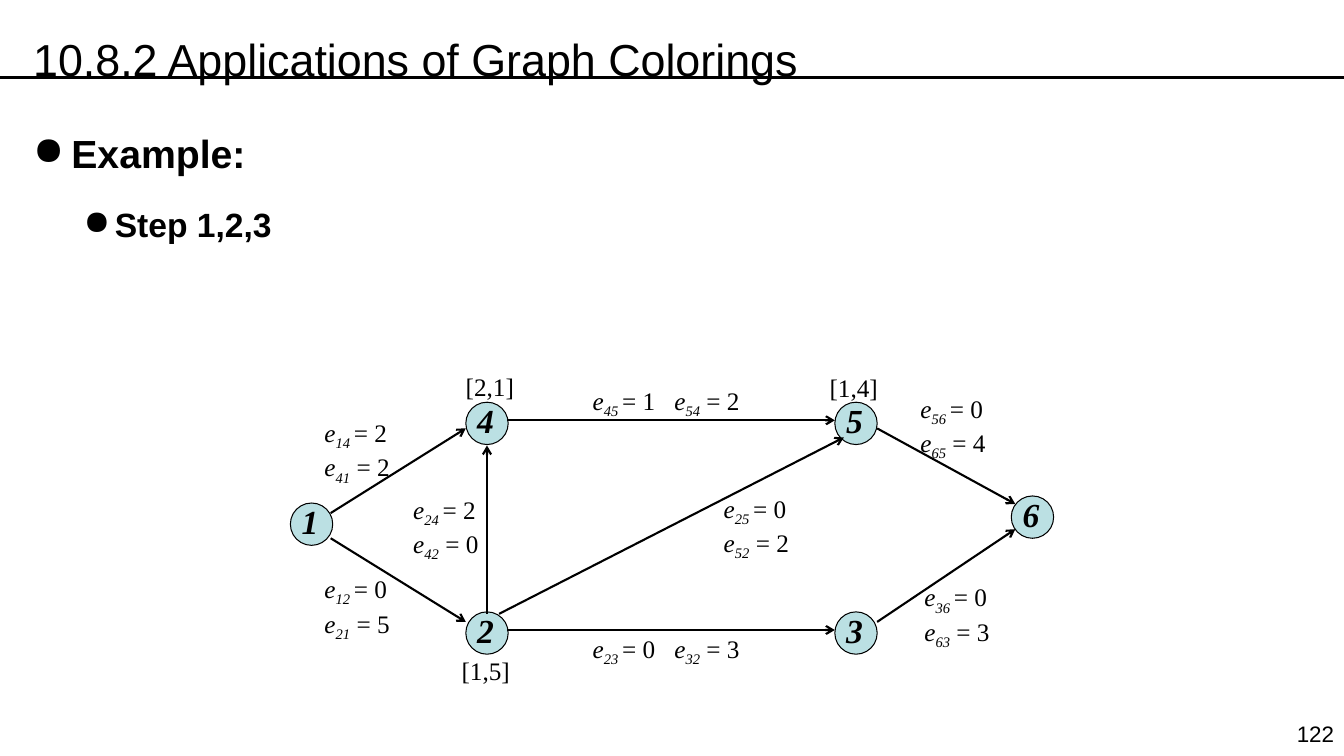
from lxml import etree
from pptx import Presentation
from pptx.dml.color import RGBColor
from pptx.enum.shapes import MSO_CONNECTOR, MSO_SHAPE
from pptx.enum.text import MSO_ANCHOR, PP_ALIGN
from pptx.oxml.ns import qn
from pptx.util import Inches, Pt

STRAIGHT = MSO_CONNECTOR.STRAIGHT
OVAL = MSO_SHAPE.OVAL
MIDDLE = MSO_ANCHOR.MIDDLE
LEFT, CENTER, RIGHT = PP_ALIGN.LEFT, PP_ALIGN.CENTER, PP_ALIGN.RIGHT

COLORS = {"ink": "000000", "node": "BBE0E3"}
SANS, SERIF = "Arial", "Times New Roman"
NODE_SIZE = 0.42
SECOND_WEIGHT_TAB = 0.81

# node number: left, top
NODES = {
    4: (4.62, 3.99),
    1: (2.88, 4.99),
    2: (4.62, 6.07),
    3: (8.28, 6.07),
    5: (8.28, 3.99),
    6: (10.03, 4.92),
}
# tail node, head node, line start, line end, label place, forward and backward weight
STACKED_EDGES = [
    (1, 4, (3.28, 5.09), (4.62, 4.25), (3.12, 4.09), 2, 2),
    (1, 2, (3.28, 5.34), (4.62, 6.17), (3.12, 5.64), 0, 5),
    (5, 6, (8.7, 4.25), (10.07, 5), (9.03, 3.85), 0, 4),
    (3, 6, (8.7, 6.17), (10.07, 5.25), (9.07, 5.72), 0, 3),
    (2, 5, (4.95, 6.09), (8.37, 4.34), (7.08, 4.84), 0, 2),
    (2, 4, (4.83, 6.09), (4.83, 4.42), (4, 4.85), 2, 0),
]
LEVEL_EDGES = [
    (4, 5, (5.03, 4.17), (8.28, 4.17), (5.78, 3.77), 1, 2),
    (2, 3, (5.03, 6.25), (8.28, 6.25), (5.78, 6.23), 0, 3),
]
COLOR_PAIRS = [("[2,1]", 4.52, 3.63), ("[1,5]", 4.48, 6.45), ("[1,4]", 8.13, 3.64)]


class GraphSlide:
    def __init__(self, slide):
        self.slide = slide

    def color(self, name):
        return RGBColor.from_string(COLORS[name])

    def style(self, paragraph, size, font=SANS, bold=None, italic=None, align=LEFT):
        paragraph.alignment = align
        paragraph.font.size = Pt(size)
        paragraph.font.name = font
        paragraph.font.bold = bold
        paragraph.font.italic = italic
        paragraph.font.color.rgb = self.color("ink")

    def frame(self, left, top, width, height, wrap=True):
        """Add an empty text box and return its text frame."""
        box = self.slide.shapes.add_textbox(
            Inches(left), Inches(top), Inches(width), Inches(height))
        box.text_frame.word_wrap = wrap
        return box.text_frame

    def text(self, words, place, size, font=SANS, align=LEFT, spacing=None, wrap=True):
        paragraph = self.frame(*place, wrap).paragraphs[0]
        paragraph.text = words
        paragraph.line_spacing = spacing
        self.style(paragraph, size, font, align=align)

    def bullets(self, items, place):
        """Items are (text, level, size, left margin, hanging indent)."""
        frame = self.frame(*place)
        for index, (words, level, size, margin, hanging) in enumerate(items):
            paragraph = frame.add_paragraph() if index else frame.paragraphs[0]
            paragraph.text = words
            paragraph.level = level
            paragraph.line_spacing = 1.5
            if index:
                paragraph.space_before = Pt(5.5)
            properties = paragraph._p.get_or_add_pPr()
            properties.set("marL", str(Inches(margin)))
            properties.set("indent", str(-Inches(hanging)))
            etree.SubElement(properties, qn("a:buChar"), char="●")
            self.style(paragraph, size, bold=True)

    def line(self, start, end, width, arrow=False):
        connector = self.slide.shapes.add_connector(
            STRAIGHT, *(Inches(value) for value in (*start, *end)))
        connector.line.color.rgb = self.color("ink")
        connector.line.width = Pt(width)
        if arrow:
            etree.SubElement(connector.line._get_or_add_ln(), qn("a:tailEnd"), type="arrow")
        etree.SubElement(connector._element.spPr, qn("a:effectLst"))

    def node(self, number, left, top):
        shape = self.slide.shapes.add_shape(
            OVAL, Inches(left), Inches(top), Inches(NODE_SIZE), Inches(NODE_SIZE))
        shape.shadow.inherit = False
        shape.fill.solid()
        shape.fill.fore_color.rgb = self.color("node")
        shape.line.color.rgb = self.color("ink")
        shape.line.width = Pt(0.75)
        frame = shape.text_frame
        frame.word_wrap = False
        frame.vertical_anchor = MIDDLE
        frame.margin_left = frame.margin_top = 0
        frame.margin_right, frame.margin_bottom = Inches(0.03), Inches(0.06)
        paragraph = frame.paragraphs[0]
        paragraph.text = str(number)
        self.style(paragraph, 24, SERIF, bold=True, italic=True, align=CENTER)

    def weight(self, paragraph, subscript, value):
        """Append e with a lowered subscript and its value."""
        for words, italic, lowered in (
                ("e", True, False), (subscript, True, True), (value, False, False)):
            run = paragraph.add_run()
            run.text = words
            run.font.italic = italic
            if lowered:
                run.font._element.set("baseline", "-25000")

    def edge(self, tail, head, start, end, label, forward, backward, stacked):
        self.line(start, end, 1.5, arrow=True)
        size = (0.87, 0.7) if stacked else (1.75, 0.4)
        frame = self.frame(*label, *size, wrap=not stacked)
        first = frame.paragraphs[0]
        second = frame.add_paragraph() if stacked else first
        if not stacked:
            tabs = etree.SubElement(first._p.get_or_add_pPr(), qn("a:tabLst"))
            etree.SubElement(
                tabs, qn("a:tab"), pos=str(Inches(SECOND_WEIGHT_TAB)), algn="l")
        self.style(first, 18, SERIF)
        self.style(second, 18, SERIF)
        gap = "" if stacked else "\t"
        self.weight(first, f"{tail}{head} ", f"= {forward}{gap}")
        self.weight(second, f"{head}{tail}", f" = {backward}")


def main():
    presentation = Presentation()
    presentation.slide_width = Inches(13.33)
    presentation.slide_height = Inches(7.5)
    page = GraphSlide(presentation.slides.add_slide(presentation.slide_layouts[6]))

    page.line((0, 0.77), (13.33, 0.77), 2.25)
    page.text("122", (12.7, 7.1, 0.63, 0.37), 16, align=RIGHT)
    page.bullets([("Example:", 0, 28, 0.38, 0.38), ("Step 1,2,3", 1, 24, 0.81, 0.31)],
                 (0.23, 1, 12.59, 6.4))
    page.text("10.8.2 Applications of Graph Colorings", (0.23, 0, 12.09, 0.81), 32,
              spacing=1.5)

    for pair, left, top in COLOR_PAIRS:
        page.text(pair, (left, top, 0.68, 0.4), 18, SERIF, wrap=False)
    for number, place in NODES.items():
        page.node(number, *place)
    for edge in STACKED_EDGES:
        page.edge(*edge, stacked=True)
    for edge in LEVEL_EDGES:
        page.edge(*edge, stacked=False)

    presentation.save("out.pptx")


if __name__ == "__main__":
    main()
